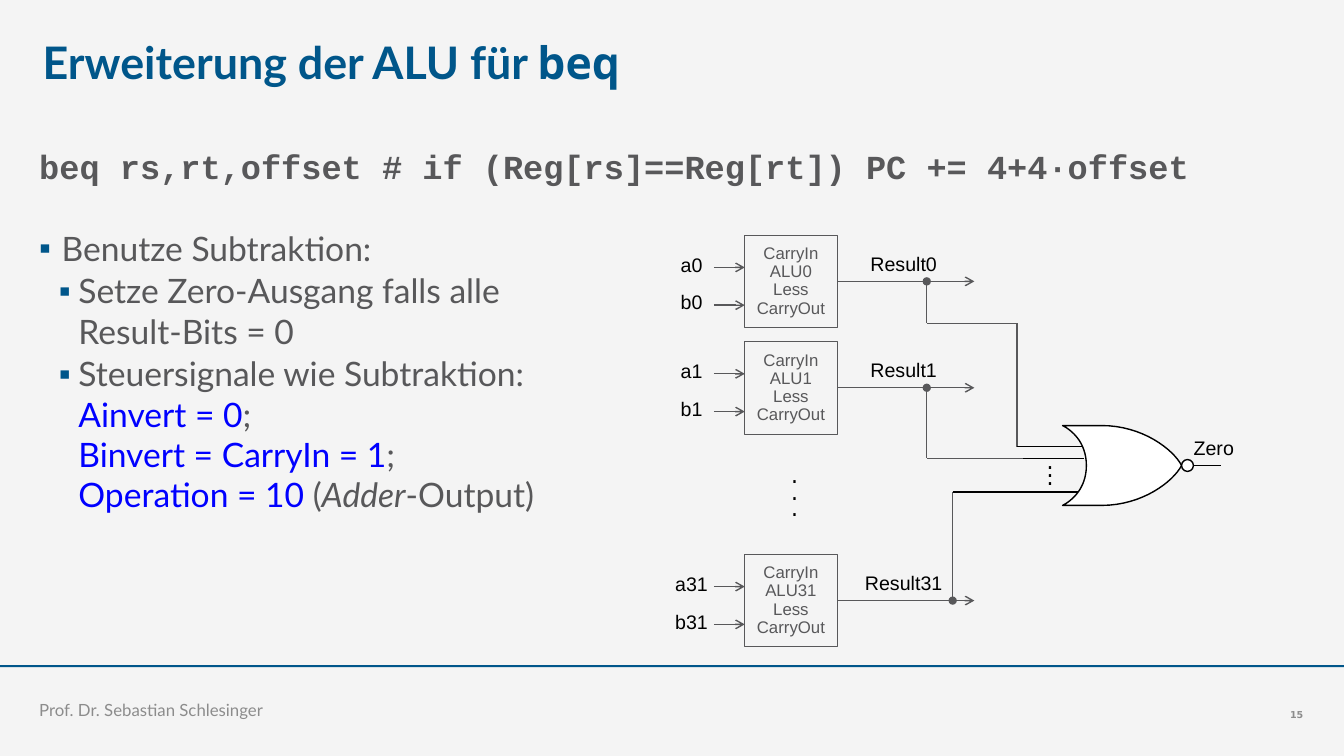
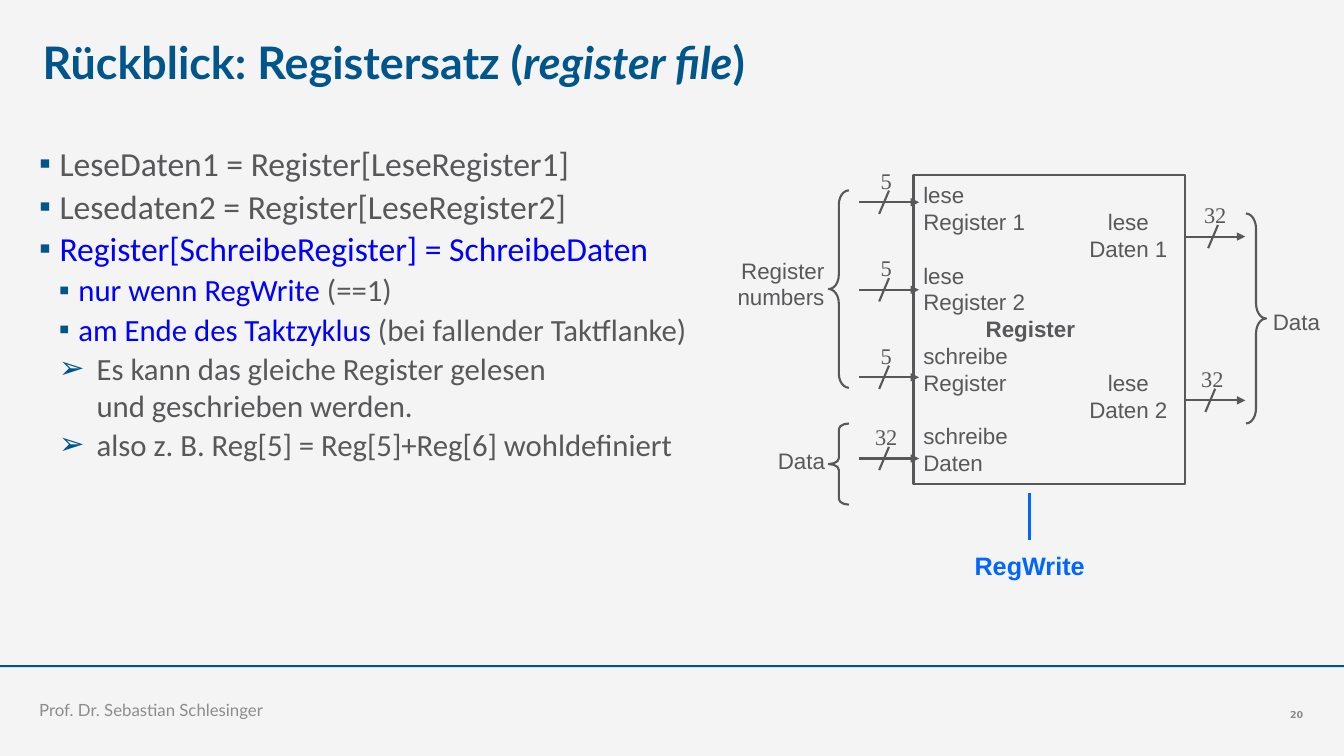
from lxml import etree
from pptx import Presentation
from pptx.dml.color import RGBColor
from pptx.enum.shapes import MSO_CONNECTOR, MSO_SHAPE
from pptx.enum.text import MSO_ANCHOR, PP_ALIGN
from pptx.oxml.ns import qn
from pptx.util import Pt

STRAIGHT = MSO_CONNECTOR.STRAIGHT
RECTANGLE, OVAL = MSO_SHAPE.RECTANGLE, MSO_SHAPE.OVAL
LEFT_BRACE, RIGHT_BRACE = MSO_SHAPE.LEFT_BRACE, MSO_SHAPE.RIGHT_BRACE
LEFT, CENTER, RIGHT = PP_ALIGN.LEFT, PP_ALIGN.CENTER, PP_ALIGN.RIGHT
TOP, MIDDLE, BOTTOM = MSO_ANCHOR.TOP, MSO_ANCHOR.MIDDLE, MSO_ANCHOR.BOTTOM

COLORS = {
    "ground": "F4F4F4", "title": "00568A", "text": "58585A", "muted": "8C8C8C",
    "accent": "0000FF", "signal": "0066FF", "black": "000000", "white": "FFFFFF",
}
PAGE_WIDTH, PAGE_HEIGHT = 960, 540
BODY_LEFT, BODY_TOP, BODY_HEIGHT = 28, 102, 350
BULLET_GAP = 1.7
BULLET_FONT = "Arial"
NO_INSETS = (0, 0)
BOX_INSETS = (7.2, 3.6)

TITLE = {"font": "Lato", "size": 32, "color": "title", "bold": True}
FOOTER = {"font": "Lato", "size": 12, "color": "muted"}
NUMBER = {"font": "DejaVu Sans", "size": 6.8, "color": "muted", "bold": True}
CODE = {"font": "Courier New", "size": 24, "color": "text", "bold": True}
LATO = {"font": "Lato", "size": 24, "color": "text"}
CALIBRI = {"font": "Calibri", "size": 24, "color": "text"}
CALIBRI_SMALL = {**CALIBRI, "size": 22}
ALU = {"font": "Arial", "size": 12, "color": "text"}
SIGNAL = {"font": "Arial", "size": 14, "color": "black"}
DOTS = {"font": "Arial Narrow", "size": 14, "color": "black", "bold": True}
PORT = {"font": "Arial", "size": 16, "color": "text"}
BUS_WIDTH = {"font": "Times New Roman", "size": 16, "color": "text"}
CONTROL = {"font": "Arial", "size": 18, "color": "signal", "bold": True}
BLUE = {"color": "accent"}
ITALIC = {"italic": True}


def rgb(name):
    return RGBColor.from_string(COLORS[name])


def add_span(para, text, style):
    span = para.add_run()
    span.text = text
    span.font.name = style["font"]
    span.font.size = Pt(style["size"])
    span.font.color.rgb = rgb(style["color"])
    span.font.bold = style.get("bold", False)
    span.font.italic = style.get("italic", False)


def fill_para(para, content, style):
    for part in [content] if isinstance(content, str) else content:
        text, changes = (part, {}) if isinstance(part, str) else part
        for number, line in enumerate(text.split("\n")):
            if number:
                para.add_line_break()
            if line:
                add_span(para, line, {**style, **changes})


def next_para(frame):
    first = frame.paragraphs[0]
    return frame.add_paragraph() if first.runs else first


def fill_frame(frame, contents, style, align=LEFT, anchor=TOP, insets=BOX_INSETS,
               spacing=None, wrap=True):
    frame.word_wrap = wrap
    frame.vertical_anchor = anchor
    frame.margin_left = frame.margin_right = Pt(insets[0])
    frame.margin_top = frame.margin_bottom = Pt(insets[1])
    for content in contents:
        para = next_para(frame)
        para.alignment = align
        if spacing:
            para.line_spacing = spacing
        fill_para(para, content, style)


def add_text(page, left, top, width, height, contents, style, **layout):
    box = page.shapes.add_textbox(Pt(left), Pt(top), Pt(width), Pt(height))
    fill_frame(box.text_frame, contents, style, **layout)
    return box.text_frame


def add_label(page, center, top, contents, style, width=70, height=19.4, **layout):
    add_text(page, center - width / 2, top, width, height, contents, style,
             align=CENTER, wrap=False, **layout)


def add_bullet(frame, content, style, mark="▪", left=28, hang=14, level=0, before=BULLET_GAP):
    para = next_para(frame)
    para.level = level
    if frame.paragraphs[0].runs:
        para.space_before = Pt(before)
    properties = para._p.get_or_add_pPr()
    properties.set("marL", str(Pt(left)))
    properties.set("indent", str(-Pt(hang)))
    color = etree.SubElement(properties, qn("a:buClr"))
    etree.SubElement(color, qn("a:srgbClr"), val=COLORS["title"])
    etree.SubElement(properties, qn("a:buFont"), typeface=BULLET_FONT)
    etree.SubElement(properties, qn("a:buChar"), char=mark)
    fill_para(para, content, style)


def paint(shape, fill=None, line=None, weight=1):
    shape.shadow.inherit = False
    if fill:
        shape.fill.solid()
        shape.fill.fore_color.rgb = rgb(fill)
    else:
        shape.fill.background()
    if line:
        shape.line.color.rgb = rgb(line)
        shape.line.width = Pt(weight)
    else:
        shape.line.fill.background()


def add_figure(page, kind, left, top, width, height, **look):
    shape = page.shapes.add_shape(kind, Pt(left), Pt(top), Pt(width), Pt(height))
    paint(shape, **look)
    return shape


def add_line(page, start, end, color="text", weight=1, head=None, tail=None):
    line = page.shapes.add_connector(STRAIGHT, *(Pt(value) for value in (*start, *end)))
    line.line.color.rgb = rgb(color)
    line.line.width = Pt(weight)
    outline = line.line._get_or_add_ln()
    for tag, ending in (("a:headEnd", head), ("a:tailEnd", tail)):
        if ending:
            etree.SubElement(outline, qn(tag), type=ending)
    etree.SubElement(line._element.spPr, qn("a:effectLst"))
    return line


def add_wire(page, points):
    for number, (start, end) in enumerate(zip(points, points[1:])):
        add_line(page, start, end, head=None if number else "oval")


def curve(start, first, second, end, steps=16):
    points = []
    for step in range(1, steps + 1):
        t = step / steps
        weights = ((1 - t) ** 3, 3 * t * (1 - t) ** 2, 3 * t * t * (1 - t), t ** 3)
        points.append(tuple(
            sum(weight * point[axis] for weight, point in zip(weights, (start, first, second, end)))
            for axis in (0, 1)))
    return points


def add_nor_gate(page, left, top):
    back, neck, middle, bottom, tip = left + 17, left + 28, top + 28.5, top + 57, left + 85
    points = (
        curve((neck, top), (neck + 29, top), (tip - 6, middle - 11.5), (tip, middle))
        + curve((tip, middle), (tip - 6, middle + 11.5), (neck + 29, bottom), (neck, bottom))
        + [(left, bottom)]
        + curve((left, bottom), (left + 6, bottom - 3), (back, bottom - 11.5), (back, middle))
        + curve((back, middle), (back, top + 11.5), (left + 6, top + 3), (left, top)))
    builder = page.shapes.build_freeform(Pt(neck), Pt(top))
    builder.add_line_segments([(Pt(x), Pt(y)) for x, y in points], close=True)
    paint(builder.convert_to_shape(), fill="white", line="black")
    add_figure(page, OVAL, tip, middle - 4.25, 8.5, 8.5, fill="white", line="black")
    add_line(page, (tip + 8.5, middle), (tip + 28, middle), color="black")


def add_alu(page, name, top):
    size, left = 66, 532
    block = add_figure(page, RECTANGLE, left, top, size, size, line="text", weight=0.5)
    fill_frame(block.text_frame, ["CarryIn", f"ALU{name}", "Less", "CarryOut"], ALU,
               align=CENTER, anchor=MIDDLE, spacing=0.9)
    middle = top + size / 2
    output = add_line(page, (left + size, middle), (696, middle), tail="arrow")
    output.begin_connect(block, 3)
    for letter, offset in (("a", 23), ("b", 50)):
        add_line(page, (510, top + offset), (left, top + offset), tail="arrow")
        add_label(page, 494, top + offset - 9.5, [f"{letter}{name}"], SIGNAL, width=44,
                  spacing=0.7)
    add_label(page, 645.5, top + 13, [f"Result{name}"], SIGNAL, width=76, spacing=0.7)
    return middle


def add_bus(page, left, right, y, slash, width):
    add_line(page, (left, y), (right, y), weight=1.5, tail="triangle")
    add_line(page, (slash, y - 8.3), (slash - 7, y + 8.3), weight=1.5)
    add_label(page, slash - 2, y - 29, [width], BUS_WIDTH, width=40, height=26.6, anchor=MIDDLE)


def add_brace(page, kind, left, top, height, bend):
    brace = add_figure(page, kind, left, top, 14.4, height, line="text", weight=1.5)
    brace.adjustments[0] = bend
    brace.adjustments[1] = 0.5


def add_page(deck, title, number):
    page = deck.slides.add_slide(deck.slide_layouts[6])
    page.background.fill.solid()
    page.background.fill.fore_color.rgb = rgb("ground")
    add_figure(page, RECTANGLE, 0, 475, PAGE_WIDTH, 1.5, fill="title")
    add_text(page, 30.5, 25, 600, 45, [title], TITLE, insets=NO_INSETS)
    add_text(page, BODY_LEFT, 486.5, 662, 28, ["Prof. Dr. Sebastian Schlesinger"], FOOTER,
             anchor=BOTTOM, insets=NO_INSETS)
    add_text(page, 866, 486.5, 65, 28, [number], NUMBER, align=RIGHT, anchor=BOTTOM,
             insets=NO_INSETS)
    return page


def add_alu_page(deck):
    page = add_page(deck, ["Erweiterung der ALU für ", ("beq", {"font": "Noto Sans Mono"})], "15")
    body = add_text(page, BODY_LEFT, BODY_TOP, 838, BODY_HEIGHT,
                    ["beq rs,rt,offset # if (Reg[rs]==Reg[rt]) PC += 4+4·offset"],
                    CODE, insets=NO_INSETS, spacing=1.08)
    add_bullet(body, "Benutze Subtraktion:", LATO, left=16, hang=16, before=29.5)
    add_bullet(body, "Setze Zero-Ausgang falls alle\nResult-Bits = 0", LATO, level=1)
    add_bullet(body, ["Steuersignale wie Subtraktion:\n", ("Ainvert = 0", BLUE), ";\n",
                      ("Binvert = CarryIn = 1", BLUE), ";\n", ("Operation = 10 ", BLUE),
                      "(", ("Adder", ITALIC), "-Output)"], LATO, level=1)

    result0, result1, result31 = (
        add_alu(page, name, 168 + 76 * row) for name, row in (("0", 0), ("1", 1), ("31", 3)))
    add_wire(page, [(662, result0), (662, 231), (726.5, 231), (726.5, 319)])
    add_wire(page, [(662, result1), (662, 327.5), (731, 327.5)])
    add_wire(page, [(680.5, result31), (680.5, 351.5)])
    for left, y in ((726.5, 319), (731, 327.5), (680.5, 351.5)):
        add_line(page, (left, y), (774, y), color="black")
    add_nor_gate(page, 759, 304)
    add_label(page, 567.5, 332.5, ["."] * 3, DOTS, width=18, height=44, spacing=0.7)
    add_label(page, 750, 327, ["."] * 3, DOTS, width=18, height=25, spacing=0.35)
    add_label(page, 867, 312.5, ["Zero"], SIGNAL, spacing=0.7)


def add_register_page(deck):
    page = add_page(deck, ["Rückblick: Registersatz (", ("register file", ITALIC), ")"], "20")
    body = add_text(page, BODY_LEFT, BODY_TOP, 500, BODY_HEIGHT, [], CALIBRI, insets=NO_INSETS)
    for content in ("LeseDaten1 = Register[LeseRegister1]",
                    "Lesedaten2 = Register[LeseRegister2]",
                    [("Register[SchreibeRegister] = SchreibeDaten", BLUE)]):
        add_bullet(body, content, CALIBRI, left=14.5, hang=14.5)
    for content in ([("nur wenn RegWrite", BLUE), " (==1)"],
                    [("am Ende des Taktzyklus", BLUE), " (bei fallender Taktflanke)"]):
        add_bullet(body, content, CALIBRI_SMALL, level=1)
    for content in ("Es kann das gleiche Register gelesen\nund geschrieben werden.",
                    "also z. B. Reg[5] = Reg[5]+Reg[6] wohldefiniert"):
        add_bullet(body, content, CALIBRI_SMALL, mark="➢", left=41, hang=27, level=1)

    add_figure(page, RECTANGLE, 652.5, 125, 194, 220.5, line="text", weight=1.5)
    row_height, first_row = 19.15, 129.5
    rows = {"insets": NO_INSETS, "spacing": Pt(row_height)}
    inputs = ((["lese", "Register 1"], 144.5, "5"), (["lese", "Register 2"], 207, "5"),
              (["schreibe", "Register"], 269.5, "5"), (["schreibe", "Daten"], 327.5, "32"))
    for number, (lines, y, width) in enumerate(inputs):
        add_text(page, 659.5, first_row + 3 * number * row_height, 90, 2 * row_height,
                 lines, PORT, **rows)
        add_bus(page, 613.5, 656.5, y, 635, width)
    for name, row, y, slash in (("Daten 1", 1, 169, 870), ("Daten 2", 7, 286, 868)):
        add_label(page, 806, first_row + row * row_height, ["lese", name], PORT,
                  height=2 * row_height, **rows)
        add_bus(page, 847, 889.5, y, slash, "32")
    add_label(page, 736, first_row + 5 * row_height, ["Register"], {**PORT, "bold": True},
              height=row_height, **rows)

    add_line(page, (735.5, 352), (735.5, 386), color="signal", weight=2.25)
    add_label(page, 735.5, 389.5, ["RegWrite"], CONTROL, width=100, height=29, anchor=MIDDLE)
    add_brace(page, RIGHT_BRACE, 890, 152.5, 150, 0.75)
    add_brace(page, LEFT_BRACE, 592, 136, 141, 0.71)
    add_brace(page, LEFT_BRACE, 592, 302.5, 58, 0.29)
    add_text(page, 519, 179.5, 77, 46, ["Register", "numbers"], PORT, align=RIGHT, anchor=MIDDLE)
    for center, top in ((572.5, 316), (926, 216.5)):
        add_label(page, center, top, ["Data"], PORT, width=60, height=26.6, anchor=MIDDLE)


def main():
    deck = Presentation()
    deck.slide_width, deck.slide_height = Pt(PAGE_WIDTH), Pt(PAGE_HEIGHT)
    add_alu_page(deck)
    add_register_page(deck)
    deck.save("out.pptx")


if __name__ == "__main__":
    main()
